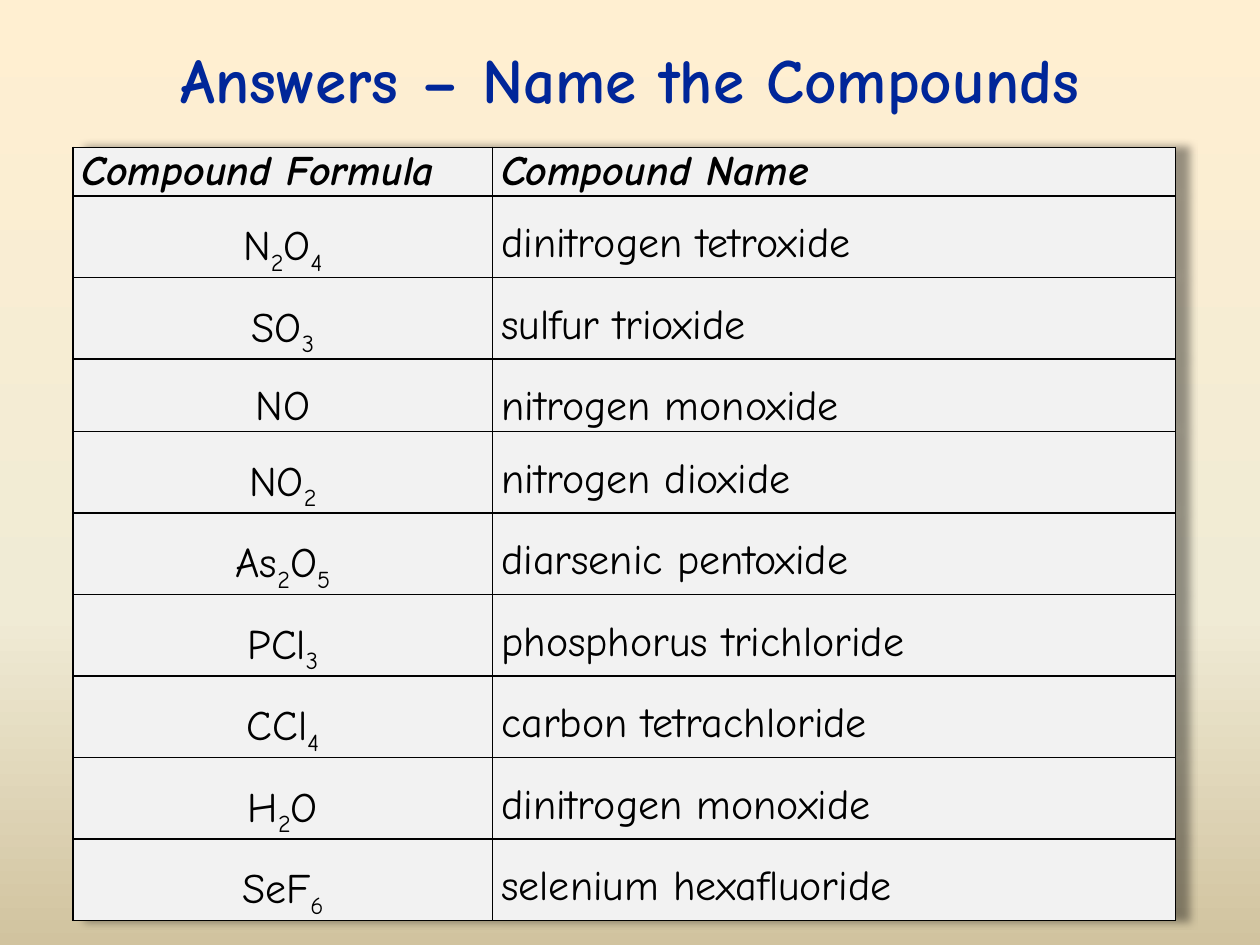
from dataclasses import dataclass
from itertools import groupby

from lxml.etree import SubElement
from pptx import Presentation
from pptx.dml.color import RGBColor
from pptx.enum.text import MSO_ANCHOR, PP_ALIGN
from pptx.oxml import parse_xml
from pptx.oxml.ns import nsdecls, qn
from pptx.table import Table, _Cell
from pptx.text.text import _Paragraph
from pptx.util import Inches, Pt

FONT = "Comic Neue"
TITLE_BLUE = RGBColor(0x00, 0x26, 0x99)
BLACK = RGBColor(0x00, 0x00, 0x00)
CELL_GREY = RGBColor(0xF2, 0xF2, 0xF2)
GRADIENT = (
    (0, RGBColor(0xFF, 0xEF, 0xD1)),
    (65, RGBColor(0xF0, 0xEB, 0xD5)),
    (100, RGBColor(0xD1, 0xC3, 0x9F)),
)


@dataclass(frozen=True)
class Compound:
    """A formula and the name that answers it."""

    formula: str
    name: str


COMPOUNDS = (
    Compound("N2O4", "dinitrogen tetroxide"),
    Compound("SO3", "sulfur trioxide"),
    Compound("NO", "nitrogen monoxide"),
    Compound("NO2", "nitrogen dioxide"),
    Compound("As2O5", "diarsenic pentoxide"),
    Compound("PCl3", "phosphorus trichloride"),
    Compound("CCl4", "carbon tetrachloride"),
    Compound("H2O", "dinitrogen monoxide"),
    Compound("SeF6", "selenium hexafluoride"),
)


def paint_background(slide) -> None:
    """Fill the slide with the vertical sand gradient."""
    stops = "".join(
        f'<a:gs pos="{position * 1000}"><a:srgbClr val="{color}"/></a:gs>'
        for position, color in GRADIENT
    )
    background = parse_xml(
        f'<p:bg {nsdecls("p", "a")}><p:bgPr><a:gradFill rotWithShape="1">'
        f'<a:gsLst>{stops}</a:gsLst><a:lin ang="5400000" scaled="0"/>'
        "</a:gradFill><a:effectLst/></p:bgPr></p:bg>"
    )
    slide.element.cSld.insert(0, background)


def add_run(paragraph: _Paragraph, text: str, size: float, color: RGBColor,
            bold: bool = False, italic: bool = False, subscript: bool = False) -> None:
    """Add one formatted run."""
    run = paragraph.add_run()
    run.text = text
    font = run.font
    font.name, font.size, font.bold, font.italic = FONT, Pt(size), bold, italic
    font.color.rgb = color
    if subscript:
        run._r.get_or_add_rPr().set("baseline", "-25000")


def format_cell(cell: _Cell) -> None:
    """Give a cell its margins, borders and fill."""
    cell.margin_left = cell.margin_right = Inches(0.07)
    cell.margin_top = cell.margin_bottom = 0
    properties = cell._tc.get_or_add_tcPr()
    for side in ("lnL", "lnR", "lnT", "lnB"):
        line = SubElement(properties, qn(f"a:{side}"), w=str(Pt(1)))
        fill = SubElement(line, qn("a:solidFill"))
        SubElement(fill, qn("a:srgbClr"), val=str(BLACK))
    cell.fill.solid()
    cell.fill.fore_color.rgb = CELL_GREY


def fill_compound(table: Table, row: int, compound: Compound) -> None:
    """Write a formula with subscript digits and its name."""
    formula = table.cell(row, 0).text_frame.paragraphs[0]
    name = table.cell(row, 1).text_frame.paragraphs[0]
    formula.alignment, name.alignment = PP_ALIGN.CENTER, PP_ALIGN.JUSTIFY
    formula.line_spacing = name.line_spacing = 1.5
    for is_digit, characters in groupby(compound.formula, str.isdigit):
        add_run(formula, "".join(characters), 24, BLACK, subscript=is_digit)
    add_run(name, compound.name, 24, BLACK)


def add_answers(slide) -> None:
    """Add the table of formulas and names."""
    frame = slide.shapes.add_table(
        len(COMPOUNDS) + 1, 2, Inches(0.58), Inches(1.17), Inches(8.75), Inches(5.8)
    )
    table = frame.table
    table.first_row = table.horz_banding = False
    table._tbl.tblPr.insert(0, parse_xml(
        f'<a:effectLst {nsdecls("a")}><a:outerShdw blurRad="{Inches(0.06)}" '
        f'dist="{Inches(0.1)}" dir="0" algn="l" rotWithShape="0">'
        f'<a:srgbClr val="{BLACK}"><a:alpha val="40000"/></a:srgbClr>'
        "</a:outerShdw></a:effectLst>"
    ))
    for column, width in zip(table.columns, (3.33, 5.42)):
        column.width = Inches(width)
    for index, row in enumerate(table.rows):
        row.height = Inches(0.3 if index else 0.2)
    frame.height = Inches(5.8)
    for cell in table.iter_cells():
        format_cell(cell)
    for column, heading in enumerate(("Compound Formula", "Compound Name")):
        paragraph = table.cell(0, column).text_frame.paragraphs[0]
        add_run(paragraph, heading, 24, BLACK, bold=True, italic=True)
    for row, compound in enumerate(COMPOUNDS, start=1):
        fill_compound(table, row, compound)


def add_title(slide) -> None:
    """Place and write the slide title."""
    title = slide.shapes.title
    title.left, title.top = Inches(0.75), Inches(0)
    title.width, title.height = Inches(8.5), Inches(1.25)
    title.text_frame.vertical_anchor = MSO_ANCHOR.MIDDLE
    paragraph = title.text_frame.paragraphs[0]
    paragraph.alignment = PP_ALIGN.CENTER
    add_run(paragraph, "Answers – Name the Compounds", 36, TITLE_BLUE, bold=True)


def main() -> None:
    """Build and save the presentation."""
    presentation = Presentation()
    presentation.slide_width, presentation.slide_height = Inches(10), Inches(7.5)
    slide = presentation.slides.add_slide(presentation.slide_layouts[5])
    paint_background(slide)
    add_title(slide)
    add_answers(slide)
    presentation.save("out.pptx")


main()
